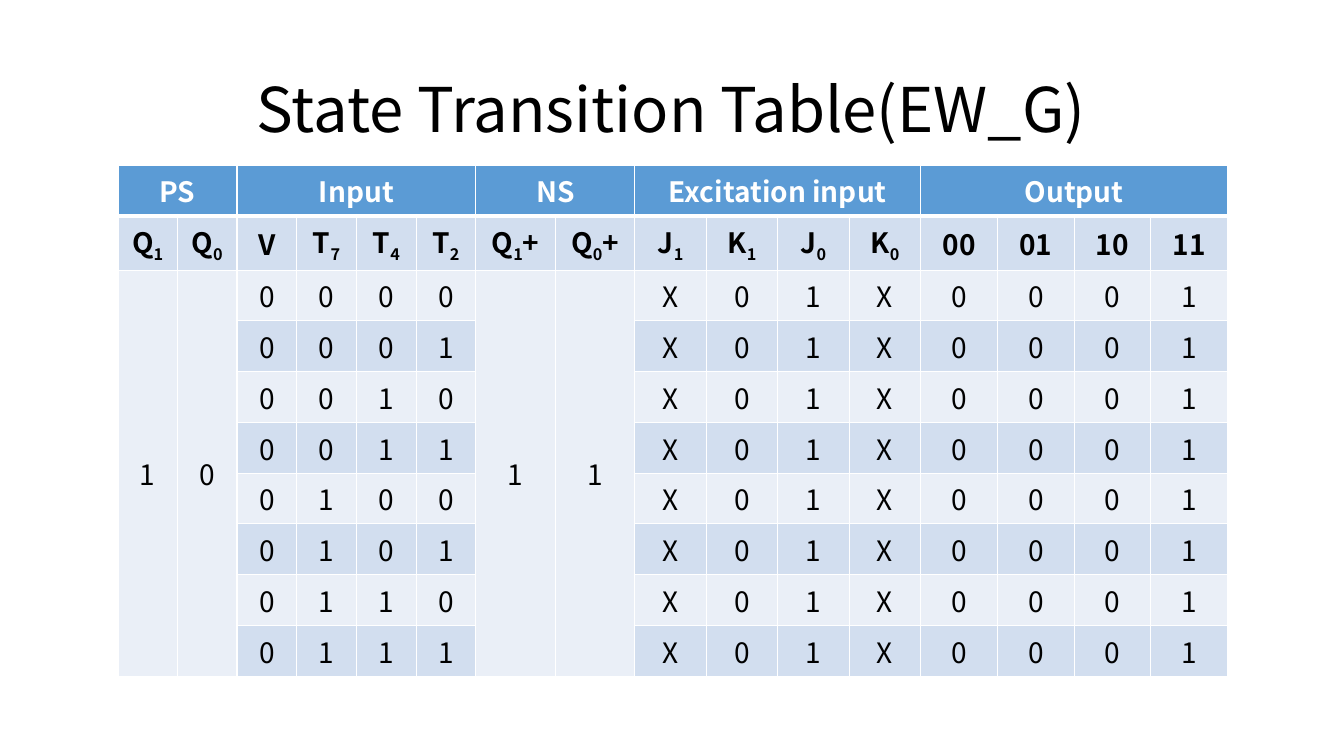
from itertools import product

from lxml import etree
from pptx import Presentation
from pptx.dml.color import RGBColor
from pptx.enum.text import MSO_ANCHOR, PP_ALIGN
from pptx.oxml.ns import qn
from pptx.util import Pt

MIDDLE = MSO_ANCHOR.MIDDLE
CENTER = PP_ALIGN.CENTER
TITLE_ONLY = 5
SCALE = 914400 / 100.8


class Theme:
    font = "Noto Sans CJK KR"
    ink, white = "000000", "FFFFFF"
    head, dark, light = "5B9BD5", "D2DEEF", "EAEFF7"
    title, text = 44, 20
    thin, thick = 1, 3


# name, width in px, column labels
GROUPS = [
    ("PS", 119, ["Q1", "Q0"]),
    ("Input", 239, ["V", "T7", "T4", "T2"]),
    ("NS", 159, ["Q1+", "Q0+"]),
    ("Excitation input", 286, ["J1", "K1", "J0", "K0"]),
    ("Output", 307, ["00", "01", "10", "11"]),
]
BITS = list(product("01", repeat=3))
ROW = 49


def px(n):
    return round(n * SCALE)


def style(para, size, color, bold=False):
    para.alignment = CENTER
    font = para.font
    font.name, font.size, font.bold = Theme.font, Pt(size), bold
    font.color.rgb = RGBColor.from_string(color)


def write(para, text):
    """Add text, lowering the digit that follows a leading letter."""
    if not (text[0].isalpha() and text[1:2].isdigit()):
        para.add_run().text = text
        return
    for i, part in enumerate((text[0], text[1], text[2:])):
        if part:
            run = para.add_run()
            run.text = part
            if i == 1:
                run.font._element.set("baseline", "-25000")


def edge(cell, top, bottom):
    props = cell._tc.get_or_add_tcPr()
    sides = {"L": Theme.thin, "R": Theme.thin, "T": top, "B": bottom}
    for side, width in sides.items():
        line = etree.SubElement(props, qn(f"a:ln{side}"), w=str(Pt(width)))
        fill = etree.SubElement(line, qn("a:solidFill"))
        etree.SubElement(fill, qn("a:srgbClr"), val=Theme.white)


def paint(cell, row):
    """Give a cell the borders and fill of its row."""
    edge(cell, Theme.thick if row == 1 else Theme.thin,
         Theme.thick if row == 0 else Theme.thin)
    band = Theme.dark if row % 2 else Theme.light
    cell.fill.solid()
    cell.fill.fore_color.rgb = RGBColor.from_string(band if row else Theme.head)
    cell.vertical_anchor = MIDDLE


def fill_cell(cell, text, row):
    para = cell.text_frame.paragraphs[0]
    write(para, text)
    style(para, Theme.text, Theme.ink if row else Theme.white, row < 2)


def add_title(slide, text, x, y, w, h):
    title = slide.shapes.title
    title.left, title.top, title.width, title.height = map(px, (x, y, w, h))
    frame = title.text_frame
    frame.text = text
    frame.vertical_anchor = MIDDLE
    para = frame.paragraphs[0]
    para.line_spacing = 0.9
    style(para, Theme.title, Theme.ink)


def add_states(slide, x, y):
    rows = len(BITS) + 2
    cols = sum(len(labels) for _, _, labels in GROUPS)
    width = sum(group[1] for group in GROUPS)
    table = slide.shapes.add_table(
        rows, cols, px(x), px(y), px(width), px(ROW * rows)).table
    table.horz_banding = False
    for line in table.rows:
        line.height = px(ROW)
    for row, col in product(range(rows), range(cols)):
        paint(table.cell(row, col), row)

    start = 0
    for name, wide, labels in GROUPS:
        count = len(labels)
        table.cell(0, start).merge(table.cell(0, start + count - 1))
        fill_cell(table.cell(0, start), name, 0)
        for col, label in enumerate(labels, start):
            table.columns[col].width = px(wide / count)
            fill_cell(table.cell(1, col), label, 1)
        start += count

    for col, state in {0: "1", 1: "0", 6: "1", 7: "1"}.items():
        table.cell(2, col).merge(table.cell(rows - 1, col))
        fill_cell(table.cell(2, col), state, 2)
    for row, bits in enumerate(BITS, 2):
        for col, value in enumerate(("0", *bits), 2):
            fill_cell(table.cell(row, col), value, row)
        for col, value in enumerate("X01X0001", 8):
            fill_cell(table.cell(row, col), value, row)


def main():
    deck = Presentation()
    deck.slide_width, deck.slide_height = px(1344), px(756)
    slide = deck.slides.add_slide(deck.slide_layouts[TITLE_ONLY])
    add_title(slide, "State Transition Table(EW_G)", 92, 40, 1159, 146)
    add_states(slide, 118, 165)
    deck.save("out.pptx")


if __name__ == "__main__":
    main()
